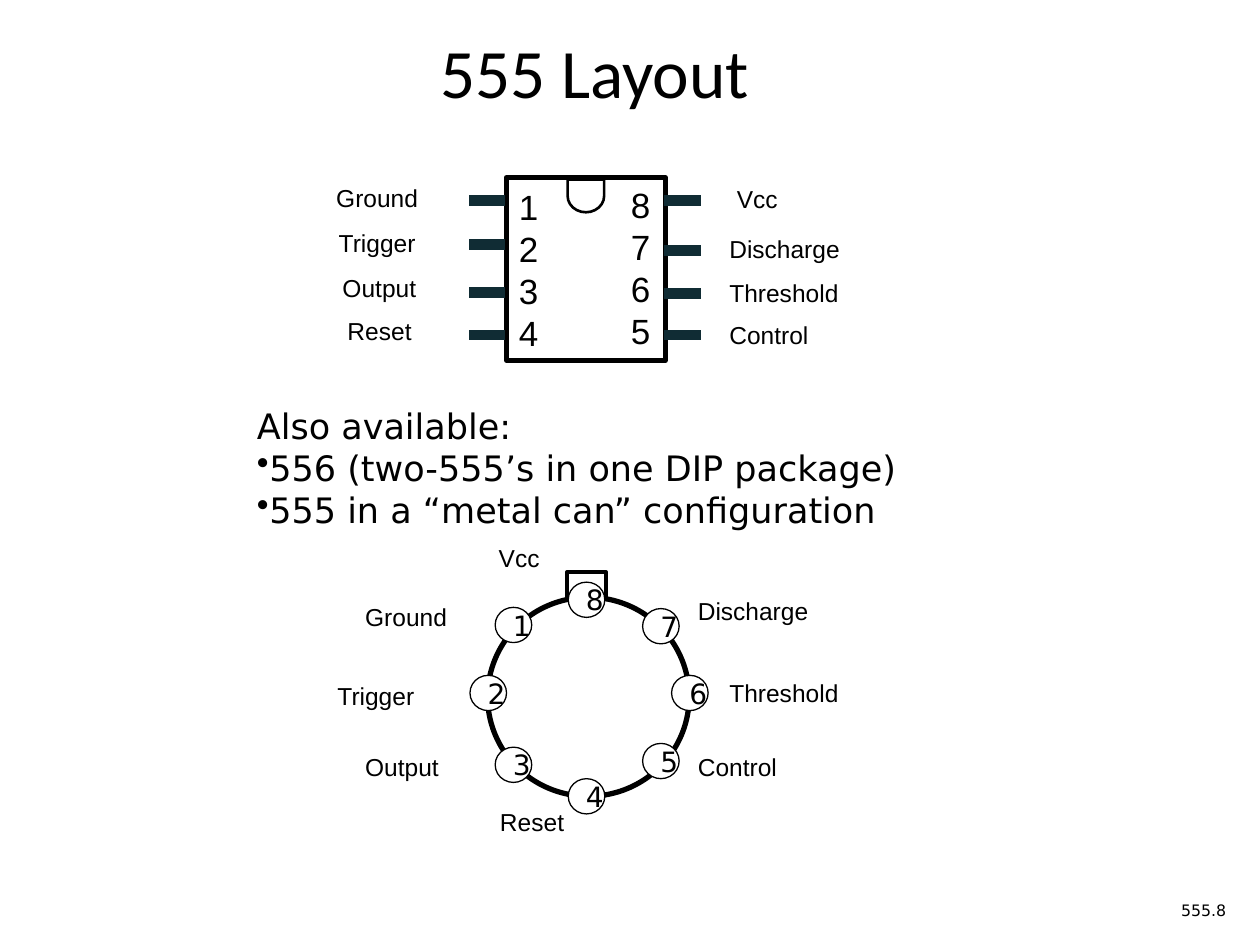
from lxml import etree
from pptx import Presentation
from pptx.dml.color import RGBColor
from pptx.enum.shapes import MSO_CONNECTOR, MSO_SHAPE
from pptx.enum.text import MSO_ANCHOR, MSO_AUTO_SIZE, PP_ALIGN
from pptx.oxml.ns import qn
from pptx.util import Inches, Pt

RECTANGLE, ELLIPSE, DELAY = MSO_SHAPE.RECTANGLE, MSO_SHAPE.OVAL, MSO_SHAPE.FLOWCHART_DELAY
STRAIGHT = MSO_CONNECTOR.STRAIGHT
LEFT, CENTER, RIGHT = PP_ALIGN.LEFT, PP_ALIGN.CENTER, PP_ALIGN.RIGHT
TOP, MIDDLE = MSO_ANCHOR.TOP, MSO_ANCHOR.MIDDLE
FIT_SHAPE, FIT_NONE = MSO_AUTO_SIZE.SHAPE_TO_FIT_TEXT, MSO_AUTO_SIZE.NONE

COLORS = {"ink": "000000", "paper": "FFFFFF", "pin": "102C34"}
LABEL_SIZE = (1.56, 0.34)
CONTACT_SIZE = (0.29, 0.28)

DIP_LABELS = [
    ("Ground", 2.57, 1.4), ("Trigger", 2.59, 1.76), ("Output", 2.62, 2.12), ("Reset", 2.66, 2.46),
    ("Control", 5.69, 2.49), ("Threshold", 5.69, 2.16), ("Discharge", 5.69, 1.81), ("Vcc", 5.75, 1.41),
]
CAN_LABELS = [
    ("Ground", 2.8, 4.73), ("Trigger", 2.58, 5.36), ("Output", 2.8, 5.92), ("Reset", 3.87, 6.36),
    ("Control", 5.44, 5.92), ("Threshold", 5.69, 5.33), ("Discharge", 5.44, 4.68), ("Vcc", 3.86, 4.26),
]
CAN_CONTACTS = [
    (3.93, 4.82), (3.73, 5.36), (3.93, 5.93), (4.51, 6.18),
    (5.1, 5.9), (5.33, 5.36), (5.1, 4.83), (4.51, 4.62),
]
PIN_ROWS = [
    (4.01, 3.72, [1.59, 1.94, 2.32, 2.66]),
    (5.56, 5.27, [1.59, 1.99, 2.33, 2.66]),
]


def color(name):
    return RGBColor.from_string(COLORS[name])


class SlideBuilder:
    def __init__(self, page):
        self.page = page
        self.shapes = page.shapes

    def start_group(self):
        self.shapes = self.page.shapes.add_group_shape().shapes

    def end_group(self):
        self.shapes = self.page.shapes

    def set_lines(self, box, lines, size, font, align=LEFT, anchor=TOP, wrap=True, fit=FIT_NONE):
        frame = box.text_frame
        frame.word_wrap = wrap
        frame.auto_size = fit
        frame.vertical_anchor = anchor
        for index, line in enumerate(lines):
            para = frame.add_paragraph() if index else frame.paragraphs[0]
            para.alignment = align
            span = para.add_run()
            span.text = line
            span.font.size = Pt(size)
            span.font.name = font
            span.font.color.rgb = color("ink")
        return frame.paragraphs

    def title(self, text, left, top, width, height):
        box = self.page.shapes.title
        box.left, box.top = Inches(left), Inches(top)
        box.width, box.height = Inches(width), Inches(height)
        self.set_lines(box, [text], 39.6, "Calibri", CENTER, MIDDLE)

    def text(self, lines, left, top, width, height, size, font, **style):
        box = self.shapes.add_textbox(Inches(left), Inches(top), Inches(width), Inches(height))
        return self.set_lines(box, lines, size, font, **style)

    def label(self, text, left, top):
        self.text([text], left, top, *LABEL_SIZE, 14, "Arial", fit=FIT_SHAPE)

    def bullet(self, para):
        properties = para._p.get_or_add_pPr()
        properties.set("marL", "0")
        properties.set("indent", "0")
        etree.SubElement(properties, qn("a:buChar")).set("char", "•")

    def shape(self, kind, left, top, width, height, line, filled=True):
        shape = self.shapes.add_shape(kind, Inches(left), Inches(top), Inches(width), Inches(height))
        shape.shadow.inherit = False
        if filled:
            shape.fill.solid()
            shape.fill.fore_color.rgb = color("paper")
        else:
            shape.fill.background()
        shape.line.color.rgb = color("ink")
        shape.line.width = Pt(line)
        return shape

    def contact(self, number, left, top):
        circle = self.shape(ELLIPSE, left, top, *CONTACT_SIZE, 0.75)
        self.set_lines(circle, [str(number)], 16, "DejaVu Sans", anchor=MIDDLE)

    def pin(self, start, end, height):
        line = self.shapes.add_connector(
            STRAIGHT, Inches(start), Inches(height), Inches(end), Inches(height))
        line.line.color.rgb = color("pin")
        line.line.width = Pt(6)
        etree.SubElement(line._element.spPr, qn("a:effectLst"))


def draw_dip(builder):
    builder.start_group()
    builder.shape(RECTANGLE, 4.02, 1.41, 1.26, 1.45, 3)
    notch = builder.shape(DELAY, 4.52, 1.41, 0.26, 0.29, 1.5, filled=False)
    notch.rotation = 90
    for start, end, heights in PIN_ROWS:
        for height in heights:
            builder.pin(start, end, height)
    for digits, left, top in [("1234", 4.02, 1.42), ("8765", 4.91, 1.41)]:
        builder.text(digits, left, top, 0.36, 1.45, 20, "Arial", wrap=False, fit=FIT_SHAPE)
    for label in DIP_LABELS:
        builder.label(*label)
    builder.end_group()


def draw_can(builder):
    builder.start_group()
    builder.shape(ELLIPSE, 3.87, 4.74, 1.6, 1.58, 3)
    builder.shape(RECTANGLE, 4.5, 4.54, 0.31, 0.21, 2.25)
    for number, place in enumerate(CAN_CONTACTS, start=1):
        builder.contact(number, *place)
    for label in CAN_LABELS:
        builder.label(*label)
    builder.end_group()


def main():
    deck = Presentation()
    deck.slide_width, deck.slide_height = Inches(10), Inches(7.5)
    builder = SlideBuilder(deck.slides.add_slide(deck.slide_layouts[5]))
    builder.title("555 Layout", 0.47, 0.31, 8.5, 0.5)
    available = [
        "Also available:",
        "556 (two-555’s in one DIP package)",
        "555 in a “metal can” configuration",
    ]
    paragraphs = builder.text(available, 1.94, 3.16, 5.46, 1.11, 20, "DejaVu Sans",
                              wrap=False, fit=FIT_SHAPE)
    for para in paragraphs[1:]:
        builder.bullet(para)
    builder.text(["555.8"], 9.02, 7.11, 0.81, 0.22, 9, "DejaVu Sans", align=RIGHT, anchor=MIDDLE)
    draw_dip(builder)
    draw_can(builder)
    deck.save("out.pptx")


if __name__ == "__main__":
    main()
